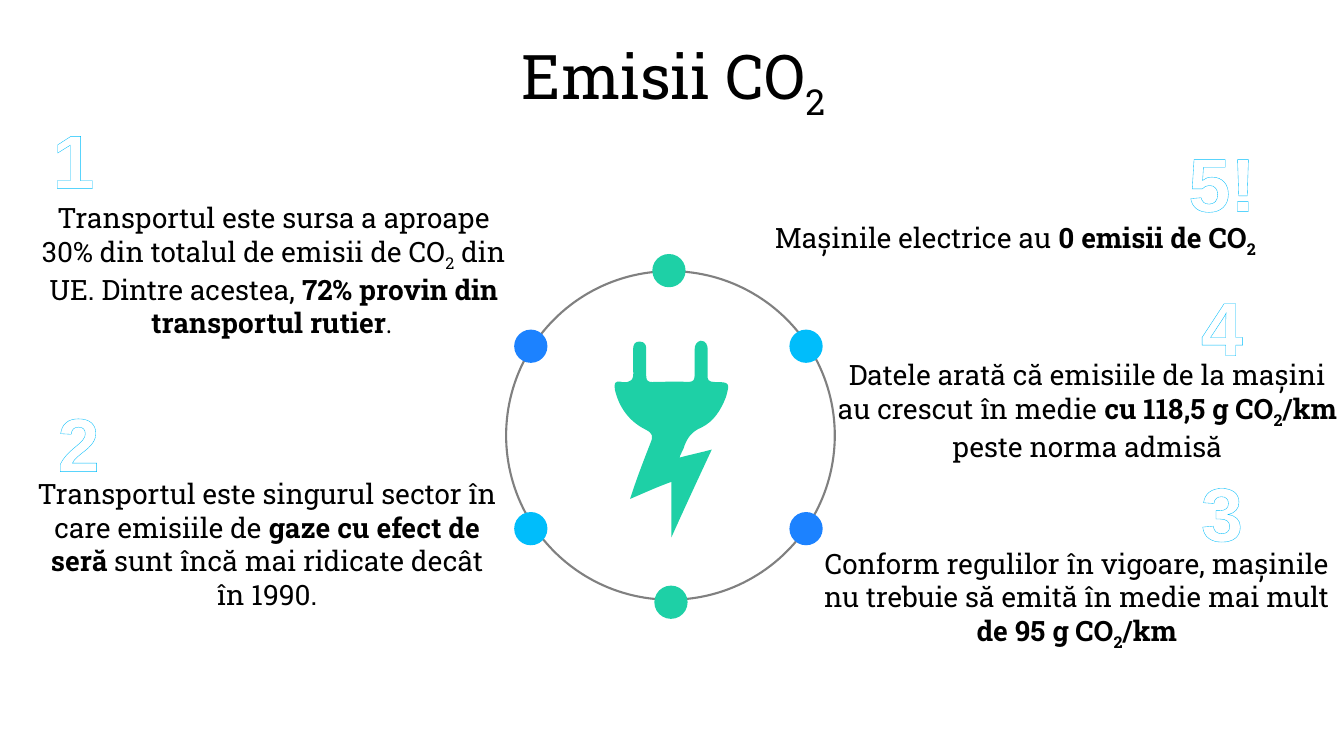
"""Build the CO2 emissions slide with five facts around a plug."""
from lxml.etree import SubElement, fromstring
from pptx import Presentation
from pptx.dml.color import RGBColor
from pptx.enum.shapes import MSO_SHAPE
from pptx.enum.text import MSO_ANCHOR, MSO_AUTO_SIZE, PP_ALIGN
from pptx.util import Inches, Pt

BLACK = RGBColor(0x00, 0x00, 0x00)
GRAY = RGBColor(0x80, 0x80, 0x80)
GREEN = RGBColor(0x1E, 0xD0, 0xA6)
BLUE = RGBColor(0x1C, 0x82, 0xFF)
CYAN = RGBColor(0x00, 0xBD, 0xFB)
PALE_CYAN = RGBColor(0x64, 0xD9, 0xFF)
WHITE = RGBColor(0xFF, 0xFF, 0xFF)
A_NS = "http://schemas.openxmlformats.org/drawingml/2006/main"

PLAIN = {}
BOLD = {"bold": True}
SUB = {"subscript": True}
BOLD_SUB = {"bold": True, "subscript": True}
STOP = {"size": 18, "font": "Cambria"}

TITLE = [("Emisii CO", PLAIN), ("2", SUB)]
FACTS = [
    ((0.28, 1.94, 4.87, 1.65), [
        ("Transportul este sursa a aproape 30% din totalul de emisii de CO", PLAIN),
        ("2", SUB),
        (" din UE. Dintre acestea, ", PLAIN),
        ("72% provin din transportul rutier", BOLD),
        (". ", STOP)]),
    ((0.26, 4.68, 4.78, 1.75), [
        ("Transportul este singurul sector în care emisiile de ", PLAIN),
        ("gaze cu efect de seră ", BOLD),
        ("sunt încă mai ridicate decât în 1990.", PLAIN)]),
    ((8.07, 5.37, 5.22, 1.11), [
        ("Conform regulilor în vigoare, mașinile nu trebuie să emită în medie mai mult ", PLAIN),
        ("de 95 g CO", BOLD), ("2", BOLD_SUB), ("/km", BOLD)]),
    ((8.16, 3.5, 5.25, 1.11), [
        ("Datele arată că emisiile de la mașini au crescut în medie ", PLAIN),
        ("cu 118,5 g CO", BOLD), ("2", BOLD_SUB), ("/km ", BOLD),
        ("peste norma admisă", PLAIN)]),
    ((7.21, 2.14, 5.72, 0.44), [
        ("Mașinile electrice au ", PLAIN), ("0 emisii de CO", BOLD), ("2", BOLD_SUB)]),
]
NUMERALS = [
    ("1", 0.3, 1.07, 0.86),
    ("2", 0.35, 3.88, 0.86),
    ("3", 11.69, 4.57, 0.86),
    ("4", 11.69, 2.73, 0.86),
    ("5!", 11.53, 1.3, 1.18),
]
RING = (5.02, 2.69, 3.26, 3.26)
DOT = 0.33
DOTS = [
    (6.47, 2.52, GREEN), (6.49, 5.81, GREEN),
    (7.83, 5.08, BLUE), (7.83, 3.27, CYAN),
    (5.1, 5.08, CYAN), (5.1, 3.27, BLUE),
]
PLUG_START = (6.74, 4.54)
PLUG_CURVES = [
    ((6.85, 4.51), (6.95, 4.49), (7.06, 4.46)),
    ((6.92, 4.76), (6.79, 5.04), (6.66, 5.33)),
    ((6.66, 5.14), (6.66, 4.96), (6.66, 4.78)),
    ((6.52, 4.83), (6.39, 4.89), (6.25, 4.95)),
    ((6.31, 4.76), (6.38, 4.58), (6.45, 4.4)),
    ((6.48, 4.33), (6.48, 4.3), (6.4, 4.26)),
    ((6.24, 4.18), (6.14, 4.04), (6.1, 3.87)),
    ((6.09, 3.81), (6.09, 3.77), (6.17, 3.79)),
    ((6.26, 3.8), (6.29, 3.77), (6.28, 3.67)),
    ((6.28, 3.6), (6.28, 3.53), (6.28, 3.46)),
    ((6.28, 3.42), (6.3, 3.38), (6.35, 3.39)),
    ((6.39, 3.39), (6.41, 3.42), (6.41, 3.46)),
    ((6.41, 3.55), (6.41, 3.64), (6.41, 3.73)),
    ((6.41, 3.78), (6.43, 3.79), (6.47, 3.79)),
    ((6.59, 3.79), (6.7, 3.78), (6.82, 3.79)),
    ((6.88, 3.79), (6.89, 3.77), (6.89, 3.72)),
    ((6.89, 3.63), (6.89, 3.55), (6.89, 3.47)),
    ((6.89, 3.42), (6.91, 3.39), (6.95, 3.38)),
    ((7, 3.38), (7.02, 3.42), (7.02, 3.47)),
    ((7.02, 3.55), (7.02, 3.63), (7.02, 3.71)),
    ((7.01, 3.77), (7.03, 3.79), (7.09, 3.79)),
    ((7.24, 3.79), (7.24, 3.8), (7.2, 3.94)),
    ((7.15, 4.07), (7.08, 4.18), (6.96, 4.24)),
    ((6.86, 4.28), (6.81, 4.35), (6.78, 4.45)),
    ((6.77, 4.48), (6.75, 4.5), (6.74, 4.54)),
]


def add_run(p, text, size=20, bold=False, subscript=False, font="Roboto Slab"):
    r = p.add_run()
    r.text = text
    r.font.name, r.font.size, r.font.bold = font, Pt(size), bold
    r.font.color.rgb = BLACK
    if subscript:
        r.font._element.set("baseline", "-25000")
    return r


def add_text_box(slide, box):
    sp = slide.shapes.add_textbox(*map(Inches, box))
    tf = sp.text_frame
    tf.word_wrap = True
    tf.auto_size = MSO_AUTO_SIZE.SHAPE_TO_FIT_TEXT
    p = tf.paragraphs[0]
    p.alignment = PP_ALIGN.CENTER
    return p


def add_title(slide):
    sp = slide.shapes.title
    sp.left, sp.top, sp.width, sp.height = map(Inches, (0.35, 0.38, 12.66, 0.77))
    tf = sp.text_frame
    tf.vertical_anchor = MSO_ANCHOR.MIDDLE
    p = tf.paragraphs[0]
    p.alignment = PP_ALIGN.CENTER
    p.line_spacing, p.space_before = 0.9, Pt(0)
    for text, style in TITLE:
        add_run(p, text, 44, **style)


def outline_numeral(r):
    rpr = r.font._element
    rpr.remove(rpr.find(f"{{{A_NS}}}solidFill"))
    line = (f'<a:ln xmlns:a="{A_NS}" w="12700"><a:solidFill>'
            f'<a:srgbClr val="{CYAN}"/></a:solidFill></a:ln>')
    pattern = (f'<a:pattFill xmlns:a="{A_NS}" prst="ltDnDiag">'
               f'<a:fgClr><a:srgbClr val="{PALE_CYAN}"/></a:fgClr>'
               f'<a:bgClr><a:srgbClr val="{WHITE}"/></a:bgClr></a:pattFill>')
    rpr.insert(0, fromstring(line))
    rpr.insert(1, fromstring(pattern))


def fill_solid(sp, color):
    sp.shadow.inherit = False
    sp.fill.solid()
    sp.fill.fore_color.rgb = color
    sp.line.fill.background()


def add_ring(slide):
    shapes = slide.shapes.add_group_shape().shapes
    ring = shapes.add_shape(MSO_SHAPE.OVAL, *map(Inches, RING))
    ring.shadow.inherit = False
    ring.fill.background()
    ring.line.color.rgb, ring.line.width = GRAY, Pt(1.5)
    for left, top, color in DOTS:
        dot = shapes.add_shape(MSO_SHAPE.OVAL, *map(Inches, (left, top, DOT, DOT)))
        fill_solid(dot, color)


def add_plug(slide):
    builder = slide.shapes.build_freeform(*map(Inches, PLUG_START))
    ends = [tuple(map(Inches, curve[-1])) for curve in PLUG_CURVES]
    builder.add_line_segments(ends, close=True)
    sp = builder.convert_to_shape()
    fill_solid(sp, GREEN)
    segments = list(sp._element.iter(f"{{{A_NS}}}lnTo"))
    for segment, curve in zip(segments, PLUG_CURVES):
        bezier = fromstring(f'<a:cubicBezTo xmlns:a="{A_NS}"/>')
        for x, y in curve:
            SubElement(bezier, f"{{{A_NS}}}pt",
                       x=str(Inches(x) - sp.left), y=str(Inches(y) - sp.top))
        segment.getparent().replace(segment, bezier)


def main():
    prs = Presentation()
    prs.slide_width, prs.slide_height = Inches(13.33), Inches(7.5)
    slide = prs.slides.add_slide(prs.slide_layouts[5])
    add_title(slide)
    add_ring(slide)
    add_plug(slide)
    for box, runs in FACTS:
        p = add_text_box(slide, box)
        for text, style in runs:
            add_run(p, text, **style)
    for numeral, left, top, width in NUMERALS:
        p = add_text_box(slide, (left, top, width, 1.01))
        outline_numeral(add_run(p, numeral, 54, bold=True, font="Arial"))
    prs.save("out.pptx")


if __name__ == "__main__":
    main()
